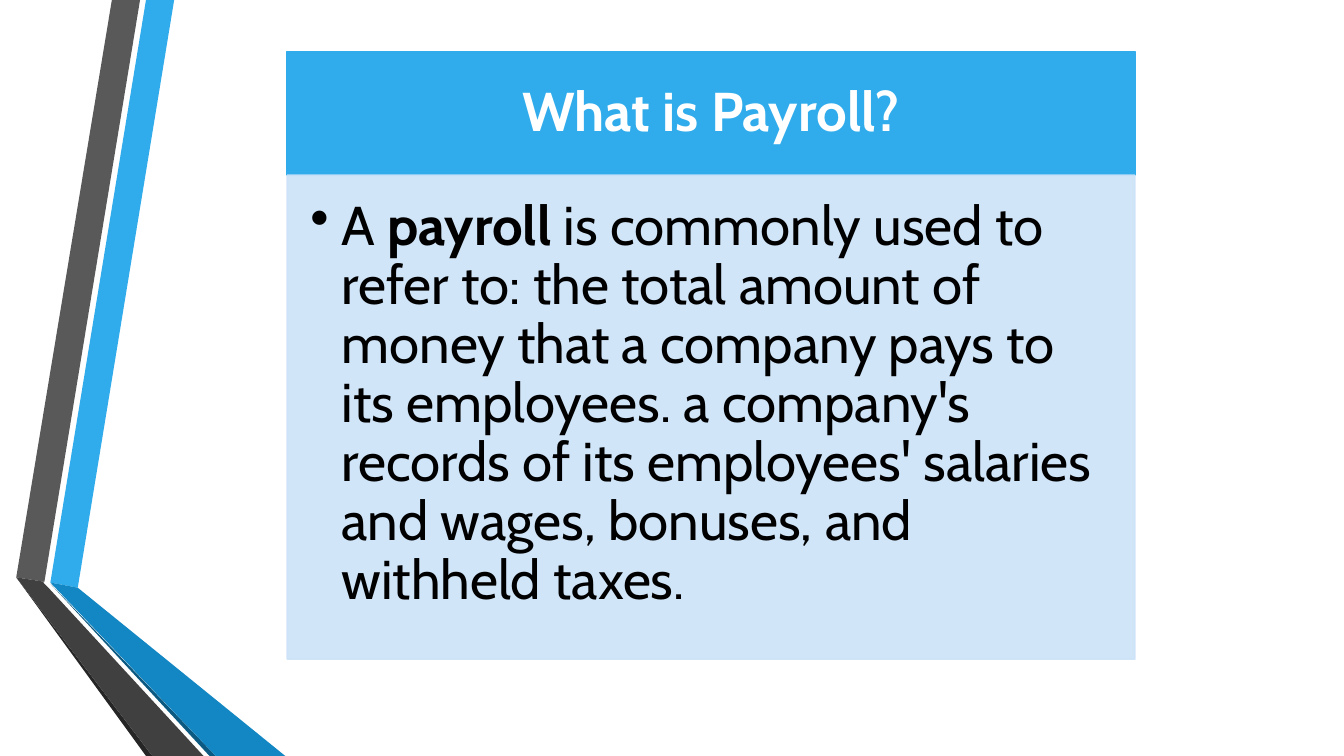
"""Build the slide that explains what a payroll is."""
from dataclasses import dataclass

import pptx
import pptx.dml.color
import pptx.enum.shapes
import pptx.enum.text
import pptx.oxml
import pptx.oxml.ns
import pptx.util

Cm = pptx.util.Cm
Pt = pptx.util.Pt


@dataclass(frozen=True)
class Theme:
    font: str = "Cabin"
    text_size: int = 39
    line_width: float = 1.25
    panel_opacity: int = 90
    accent: str = "30ACEC"
    accent_dark: str = "1287C3"
    accent_edge: str = "0C5A82"
    gray: str = "595959"
    gray_dark: str = "404040"
    gray_edge: str = "262626"
    panel: str = "CDE3F8"
    white: str = "FFFFFF"
    black: str = "000000"


THEME = Theme()
SLIDE_WIDTH, SLIDE_HEIGHT = 33.87, 19.05
CARD_LEFT, CARD_TOP, CARD_WIDTH = 7.24, 1.3, 21.36
HEADER_HEIGHT, BODY_HEIGHT = 3.12, 12.19

RIBBONS = [
    (THEME.accent, [(1.27, 14.68), (1.96, 14.81), (4.39, 0), (3.68, 0)]),
    (THEME.gray, [(3.53, 0), (2.82, 0), (0.41, 14.55), (1.12, 14.66)]),
    (THEME.gray_edge, [(0.41, 14.55), (3.68, SLIDE_HEIGHT), (3.84, SLIDE_HEIGHT)]),
    (THEME.accent_edge, [(1.27, 14.71), (5.28, SLIDE_HEIGHT), (5.44, SLIDE_HEIGHT)]),
    (THEME.accent_dark, [(1.27, 14.68), (5.44, SLIDE_HEIGHT), (7.19, SLIDE_HEIGHT), (1.96, 14.81)]),
    (THEME.gray_dark, [(5.13, SLIDE_HEIGHT), (1.22, 14.81), (1.09, 14.68), (1.12, 14.66),
                       (0.41, 14.55), (3.84, SLIDE_HEIGHT)]),
]

TITLE_RUNS = [("What is Payroll?", True)]
BODY_RUNS = [
    ("A ", False),
    ("payroll ", True),
    ("is commonly used to refer to: the total amount of money that a company pays to its "
     "employees. a company's records of its employees' salaries and wages, bonuses, and "
     "withheld taxes.", False),
]


def rgb(value):
    """Turn a hex string into a colour."""
    return pptx.dml.color.RGBColor.from_string(value)


def paint(fill, color):
    """Give a fill one solid colour."""
    fill.solid()
    fill.fore_color.rgb = rgb(color)


def set_opacity(shape, percent):
    """Make the fill and the line of a shape partly transparent."""
    for color in shape._element.spPr.iter(pptx.oxml.ns.qn("a:srgbClr")):
        alpha = color.makeelement(pptx.oxml.ns.qn("a:alpha"), {"val": str(percent * 1000)})
        color.append(alpha)


def add_ribbon(slide, color, points):
    """Draw one closed ribbon piece through points in centimetres."""
    corners = [(Cm(x), Cm(y)) for x, y in points]
    builder = slide.shapes.build_freeform(*corners[0])
    builder.add_line_segments(corners[1:], close=True)
    shape = builder.convert_to_shape()
    shape.shadow.inherit = False
    paint(shape.fill, color)
    shape.line.fill.background()


def add_panel(slide, top, height, color, margins, anchor):
    """Add one full-width rectangle of the card, ready for text."""
    shape = slide.shapes.add_shape(
        pptx.enum.shapes.MSO_SHAPE.RECTANGLE,
        Cm(CARD_LEFT), Cm(top), Cm(CARD_WIDTH), Cm(height))
    shape.shadow.inherit = False
    paint(shape.fill, color)
    paint(shape.line.fill, color)
    shape.line.width = Pt(THEME.line_width)
    frame = shape.text_frame
    frame.word_wrap = True
    frame.vertical_anchor = anchor
    frame.margin_left, frame.margin_top, frame.margin_right, frame.margin_bottom = map(Cm, margins)
    return shape


def write_paragraph(shape, runs, color, alignment):
    """Write text and bold pairs into the first paragraph of a shape."""
    paragraph = shape.text_frame.paragraphs[0]
    paragraph.alignment = alignment
    paragraph.line_spacing = 0.9
    for text, bold in runs:
        run = paragraph.add_run()
        run.text = text
        run.font.name = THEME.font
        run.font.size = Pt(THEME.text_size)
        run.font.bold = bold
        run.font.color.rgb = rgb(color)
    return paragraph


def add_bullet(paragraph, indent):
    """Hang a round bullet in front of a paragraph."""
    properties = paragraph._p.get_or_add_pPr()
    properties.set("marL", str(indent))
    properties.set("indent", str(-indent))
    bullet = properties.makeelement(pptx.oxml.ns.qn("a:buChar"), {"char": "•"})
    properties.append(bullet)


def main():
    """Build and save the presentation."""
    presentation = pptx.Presentation()
    presentation.slide_width = Cm(SLIDE_WIDTH)
    presentation.slide_height = Cm(SLIDE_HEIGHT)
    slide = presentation.slides.add_slide(presentation.slide_layouts[6])
    paint(slide.background.fill, THEME.white)

    for color, points in RIBBONS:
        add_ribbon(slide, color, points)

    anchors = pptx.enum.text.MSO_ANCHOR
    alignments = pptx.enum.text.PP_ALIGN
    header = add_panel(slide, CARD_TOP, HEADER_HEIGHT, THEME.accent,
                       (0.76, 0.43, 0.76, 0.43), anchors.MIDDLE)
    write_paragraph(header, TITLE_RUNS, THEME.white, alignments.CENTER)

    body = add_panel(slide, CARD_TOP + HEADER_HEIGHT, BODY_HEIGHT, THEME.panel,
                     (0.58, 0.58, 0.76, 0.86), anchors.TOP)
    set_opacity(body, THEME.panel_opacity)
    paragraph = write_paragraph(body, BODY_RUNS, THEME.black, alignments.LEFT)
    add_bullet(paragraph, Cm(0.79))

    presentation.save("out.pptx")


if __name__ == "__main__":
    main()
